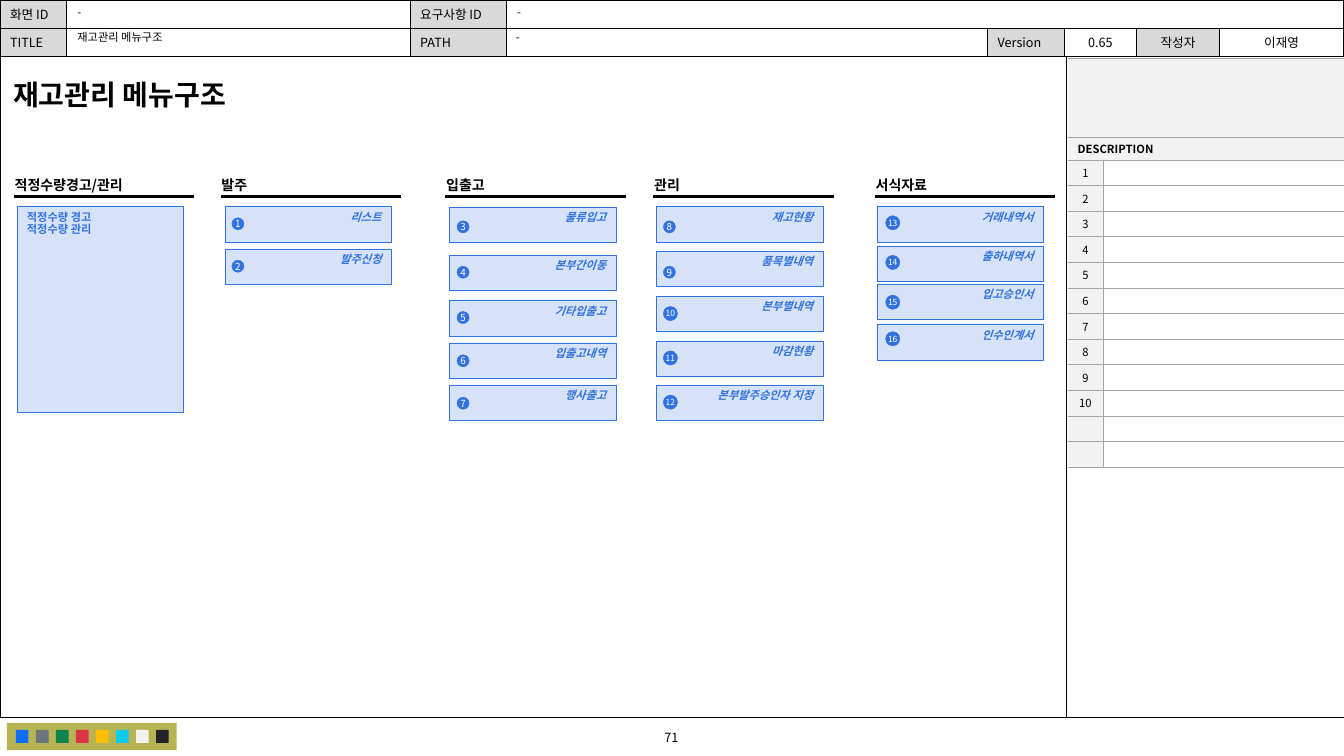
from lxml import etree
from pptx import Presentation
from pptx.dml.color import RGBColor
from pptx.enum.shapes import MSO_CONNECTOR, MSO_SHAPE
from pptx.enum.text import MSO_ANCHOR, PP_ALIGN
from pptx.oxml.ns import qn
from pptx.util import Pt

LEFT, CENTER, RIGHT = PP_ALIGN.LEFT, PP_ALIGN.CENTER, PP_ALIGN.RIGHT
TOP, MIDDLE = MSO_ANCHOR.TOP, MSO_ANCHOR.MIDDLE
RECT, OVAL = MSO_SHAPE.RECTANGLE, MSO_SHAPE.OVAL
STRAIGHT = MSO_CONNECTOR.STRAIGHT
FONT = "Noto Sans CJK KR"
NO_STYLE = "{2D5ABB26-0587-4C30-8999-92F81FD0307C}"
COLORS = {"black": "000000", "white": "FFFFFF", "label": "D9D9D9", "panel": "F2F2F2",
          "rule": "A6A6A6", "blue": "3272DE", "blue_text": "3272DD", "olive": "B7B553"}

# Content
HEADER_ROWS = [["화면 ID", "", "요구사항 ID", "", "", "", "", ""],
               ["TITLE", "", "PATH", "", "Version", "0.65", "작성자", "이재영"]]
HEADER_WIDTHS = [47.5, 245.5, 69, 343.5, 54.5, 52, 59, 89]
HEADER_VALUES = [("-", 362.2, 0.7, 597, 16.6), ("-", 48.2, 0.7, 245, 16.6),
                 ("재고관리 메뉴구조", 48.2, 20.2, 243, 14.4), ("-", 361.4, 18.7, 341, 16.6)]
PAGE_TITLE = "재고관리 메뉴구조"
PAGE_NUMBER = "71"
SWATCHES = ["0D6EFD", "6C757D", "10834E", "DC3545", "FFBE00", "0DCAF0", "F2F2F2", "212529"]
NOTE_LABELS = [str(number) for number in range(1, 11)] + ["", ""]
ALERTS = ["적정수량 경고", "적정수량 관리"]
# Heading, rule left, box left, badge left, [(item, box top, badge top)]
MENU = [
    ("적정수량경고/관리", 10, 12.2, 0, []),
    ("발주", 157.7, 160.6, 165.6, [("리스트", 147.6, 155.5), ("발주신청", 177.8, 185.8)]),
    ("입출고", 318.2, 321.2, 326.4, [
        ("물류입고", 148, 157.7), ("본부간이동", 182, 190.1), ("기타입출고", 214.6, 222.5),
        ("입출고내역", 244.8, 253.4), ("행사출고", 275, 283.7)]),
    ("관리", 466.8, 469, 473.8, [
        ("재고현황", 147.6, 157.7), ("품목별내역", 179.3, 190.1), ("본부별내역", 211.5, 218.9),
        ("마감현황", 243.4, 250.6), ("본부발주승인자 지정", 275, 282.2)]),
    ("서식자료", 625, 626.4, 632.6, [
        ("거래내역서", 147.6, 154.1), ("출하내역서", 175.7, 182.4), ("입고승인서", 203, 210.8),
        ("인수인계서", 231.8, 236.9)]),
]
BOX_WIDTH, BOX_HEIGHT, ALERT_HEIGHT = 119, 25.4, 147
RULE_WIDTH, RULE_Y = 128.6, 140.4


def rgb(value):
    return RGBColor.from_string(value)


def write(frame, lines, size, color="black", align=LEFT, anchor=MIDDLE, bold=False,
          italic=False, spacing=None):
    frame.vertical_anchor = anchor
    for index, line in enumerate(lines):
        para = frame.add_paragraph() if index else frame.paragraphs[0]
        para.alignment = align
        if spacing:
            para.line_spacing = spacing
        span = para.add_run()
        span.text = line
        font = span.font
        font.size, font.bold, font.italic, font.name = Pt(size), bold, italic, FONT
        font.color.rgb = rgb(COLORS[color])
        etree.SubElement(font._element, qn("a:ea"), typeface=FONT)


def set_insets(target, side, end):
    target.margin_left = target.margin_right = Pt(side)
    target.margin_top = target.margin_bottom = Pt(end)


def add_text(text, left, top, width, height, size, inset=0, **style):
    frame = page.shapes.add_textbox(Pt(left), Pt(top), Pt(width), Pt(height)).text_frame
    frame.word_wrap = True
    set_insets(frame, inset, 0)
    write(frame, [text], size, **style)


def add_box(kind, left, top, width, height, fill=None, line=None, alpha=None):
    box = page.shapes.add_shape(kind, Pt(left), Pt(top), Pt(width), Pt(height))
    box.shadow.inherit = False
    if fill:
        box.fill.solid()
        box.fill.fore_color.rgb = rgb(fill)
        if alpha:
            color = box._element.spPr.find(qn("a:solidFill"))[0]
            etree.SubElement(color, qn("a:alpha"), val=str(alpha * 1000))
    else:
        box.fill.background()
    if line:
        box.line.color.rgb = rgb(line)
        box.line.width = Pt(0.25)
    else:
        box.line.fill.background()
    return box


def add_line(x1, y1, x2, y2, weight):
    line = page.shapes.add_connector(STRAIGHT, Pt(x1), Pt(y1), Pt(x2), Pt(y2))
    line.line.color.rgb = rgb(COLORS["black"])
    line.line.width = Pt(weight)
    etree.SubElement(line._element.spPr, qn("a:effectLst"))


def add_table(left, top, widths, heights):
    frame = page.shapes.add_table(len(heights), len(widths), Pt(left), Pt(top),
                                  Pt(sum(widths)), Pt(sum(heights)))
    table = frame.table
    table.first_row = table.horz_banding = False
    table._tbl.tblPr.find(qn("a:tableStyleId")).text = NO_STYLE
    for column, width in zip(table.columns, widths):
        column.width = Pt(width)
    for row, height in zip(table.rows, heights):
        row.height = Pt(height)
    return table


def fill_cell(cell, text, fill, line, sides, size, inset=7.2, **style):
    properties = cell._tc.get_or_add_tcPr()
    for side in sides:
        border = etree.SubElement(properties, qn("a:ln" + side), w=str(Pt(0.5)))
        paint = etree.SubElement(border, qn("a:solidFill"))
        etree.SubElement(paint, qn("a:srgbClr"), val=COLORS[line])
    cell.fill.solid()
    cell.fill.fore_color.rgb = rgb(COLORS[fill])
    set_insets(cell, inset, 0)
    if text:
        write(cell.text_frame, [text], size, **style)
        cell.vertical_anchor = MIDDLE
    else:
        cell.text_frame.paragraphs[0]._p.get_or_add_endParaRPr().set("sz", str(size * 100))


deck = Presentation()
deck.slide_width, deck.slide_height = Pt(960), Pt(540)
page = deck.slides.add_slide(deck.slide_layouts[6])

# Header table
header = add_table(0, 0, HEADER_WIDTHS, [20.2, 20.2])
for row, texts in enumerate(HEADER_ROWS):
    for column, text in enumerate(texts):
        fill = "label" if column % 2 == 0 and text else "white"
        fill_cell(header.cell(row, column), text, fill, "black", "LRTB", 9,
                  align=CENTER if column > 4 else LEFT)
header.cell(0, 3).merge(header.cell(0, 7))

# Page frame, number and palette
add_box(RECT, 0, 40.2, 960, 472, line=COLORS["black"])
add_text(PAGE_NUMBER, 386.6, 517.7, 185.8, 18, 9, align=CENTER)
add_line(761.8, 40.3, 761.8, 512, 0.5)
add_box(RECT, 5, 516.4, 121.2, 19.2, COLORS["olive"])
for index, swatch in enumerate(SWATCHES):
    add_box(RECT, 11.4 + index * 14.3, 521.4, 9, 9.2, swatch)

# Header values and page title
for text, left, top, width, height in HEADER_VALUES:
    add_text(text, left, top, width, height, 8, inset=7.2, spacing=0.9)
add_text(PAGE_TITLE, 9.4, 55.4, 200, 24.5, 20, bold=True)

# Description table
notes = add_table(762.6, 41.6, [25.4, 172], [56.2, 16.4] + [18.3] * len(NOTE_LABELS))
for row, text in enumerate(["", "DESCRIPTION"]):
    for column in range(2):
        fill_cell(notes.cell(row, column), "" if column else text, "panel", "rule", "TB", 8,
                  bold=True)
    notes.cell(row, 0).merge(notes.cell(row, 1))
for row, text in enumerate(NOTE_LABELS, start=2):
    fill_cell(notes.cell(row, 0), text, "panel", "rule", "RTB", 8, inset=0, align=CENTER)
    fill_cell(notes.cell(row, 1), "", "white", "rule", "LTB", 8)


# Menu columns
def add_menu_box(left, top, height, lines, **style):
    box = add_box(RECT, left, top, BOX_WIDTH, height, COLORS["blue"], COLORS["blue"], alpha=20)
    write(box.text_frame, lines, 8, "blue_text", anchor=TOP, bold=True, spacing=0.9, **style)


number = 0
for heading, rule_left, box_left, badge_left, items in MENU:
    add_text(heading, rule_left + 0.5, 126, RULE_WIDTH, 12.2, 10, bold=True)
    add_line(rule_left, RULE_Y, rule_left + RULE_WIDTH, RULE_Y, 2.25)
    if not items:
        add_menu_box(box_left, 147.6, ALERT_HEIGHT, ALERTS)
    for item, box_top, badge_top in items:
        number += 1
        add_menu_box(box_left, box_top, BOX_HEIGHT, [item], align=RIGHT, italic=True)
        badge_size, text_size = (8.7, 7) if number < 10 else (10.2, 6)
        badge = add_box(OVAL, badge_left, badge_top, badge_size, badge_size,
                        COLORS["blue"], COLORS["blue"])
        badge.text_frame.word_wrap = False
        set_insets(badge.text_frame, 0, 0)
        write(badge.text_frame, [str(number)], text_size, "white", align=CENTER)

deck.save("out.pptx")
